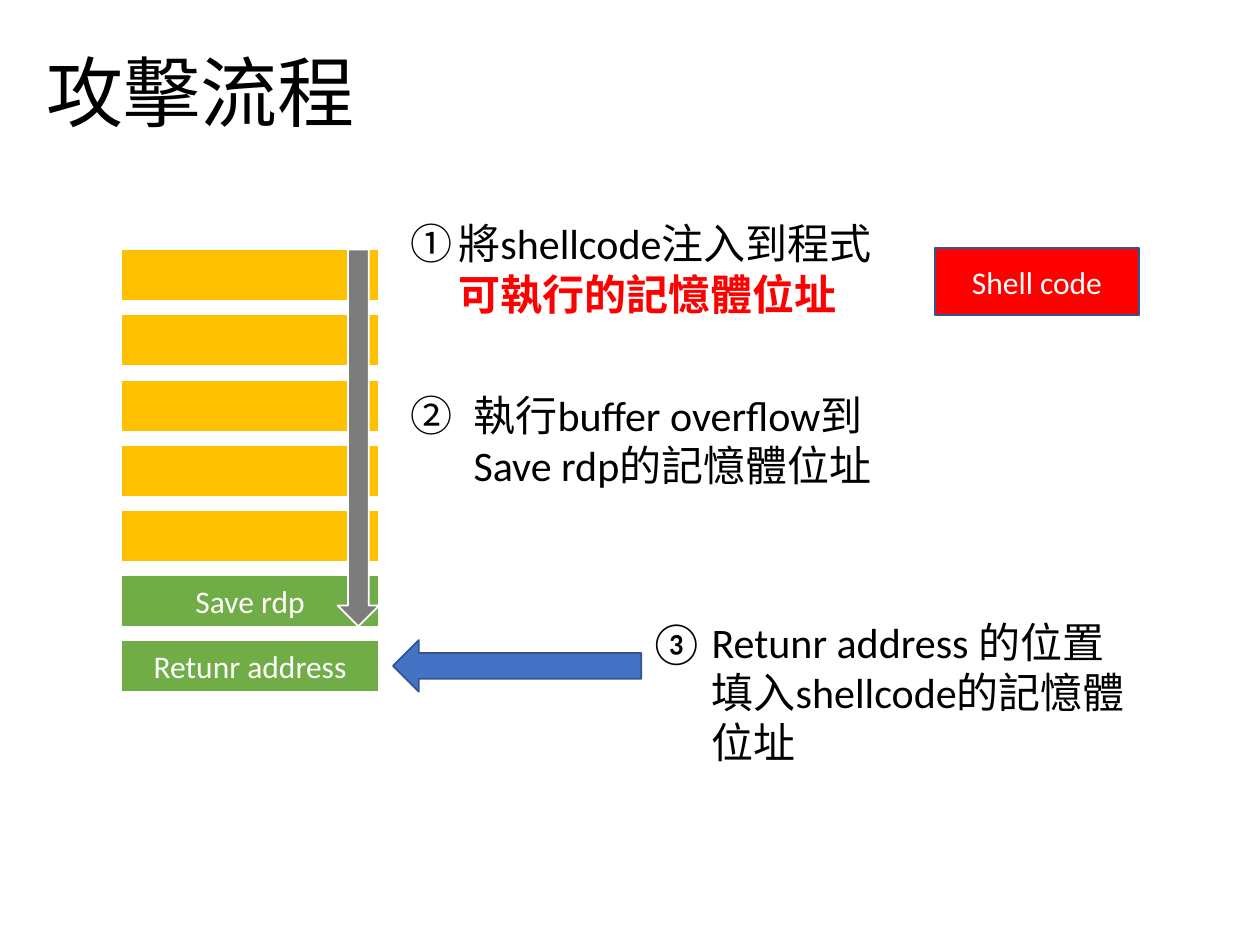
from lxml import etree
from pptx import Presentation
from pptx import util as u
from pptx.dml.color import RGBColor
from pptx.enum import shapes, text
from pptx.oxml.ns import qn

COLORS = {
    "black": "000000", "white": "FFFFFF", "red": "FF0000", "amber": "FFC000",
    "green": "70AD47", "gray": "7C7C7C", "blue": "4472C4", "navy": "325491",
}
FONT = "Calibri"
COLUMNS, ROWS = 100, 75
SHAPE = shapes.MSO_SHAPE


class Deck:
    """Places styled elements on a 100 x 75 grid of the current slide."""

    def __init__(self):
        self.prs = Presentation()
        self.prs.slide_width, self.prs.slide_height = u.Inches(10), u.Inches(7.5)
        self.slide = self.prs.slides.add_slide(self.prs.slide_layouts[6])

    def place(self, col, row, cols, rows):
        cell_w = self.prs.slide_width / COLUMNS
        cell_h = self.prs.slide_height / ROWS
        return [int(n) for n in (col * cell_w, row * cell_h, cols * cell_w, rows * cell_h)]

    def run(self, paragraph, words, size, color, bold=False):
        run = paragraph.add_run()
        run.text = words
        run.font.name, run.font.size, run.font.bold = FONT, u.Pt(size), bold
        run.font.color.rgb = RGBColor.from_string(COLORS[color])

    def text_frame(self, area):
        frame = self.slide.shapes.add_textbox(*self.place(*area)).text_frame
        frame.word_wrap = True
        return frame

    def title(self, area, words):
        frame = self.text_frame(area)
        frame.vertical_anchor = text.MSO_ANCHOR.MIDDLE
        frame.paragraphs[0].line_spacing = 0.9
        self.run(frame.paragraphs[0], words, 44, "black")

    def step(self, number, area, indent, *parts):
        """Circled-number step; parts are (words, color, bold)."""
        frame = self.text_frame(area)
        frame.auto_size = text.MSO_AUTO_SIZE.SHAPE_TO_FIT_TEXT
        paragraph = frame.paragraphs[0]
        props = paragraph._p.get_or_add_pPr()
        hang = u.Inches(indent)
        props.set("marL", str(hang))
        props.set("indent", str(-hang))
        etree.SubElement(props, qn("a:buFont"), typeface="+mj-lt")
        etree.SubElement(props, qn("a:buAutoNum"),
                         type="circleNumWdWhitePlain", startAt=str(number))
        for words, color, bold in parts:
            self.run(paragraph, words, 24, color, bold)

    def block(self, kind, area, fill, line, label=""):
        shape = self.slide.shapes.add_shape(kind, *self.place(*area))
        shape.shadow.inherit = False
        shape.fill.solid()
        shape.fill.fore_color.rgb = RGBColor.from_string(COLORS[fill])
        shape.line.color.rgb = RGBColor.from_string(COLORS[line])
        shape.line.width = u.Pt(1)
        if label:
            shape.text_frame.vertical_anchor = text.MSO_ANCHOR.MIDDLE
            paragraph = shape.text_frame.paragraphs[0]
            paragraph.alignment = text.PP_ALIGN.CENTER
            self.run(paragraph, label, 18, "white")


def main():
    deck = Deck()
    deck.title((2.7, 1.5, 86.2, 12.4), "攻擊流程")

    stack_left, stack_top, stack_width = 9.6, 19.8, 20.5
    cell_height, pitch = 4.1, 5.17
    memory = [("amber", "")] * 5 + [("green", "Save rdp"), ("green", "Retunr address")]
    for index, (fill, label) in enumerate(memory):
        area = (stack_left, stack_top + index * pitch, stack_width, cell_height)
        deck.block(SHAPE.RECTANGLE, area, fill, "white", label)

    deck.block(SHAPE.DOWN_ARROW, (26.8, stack_top, 3.3, 29.9), "gray", "white")
    deck.step(1, (31.6, 16.8, 38.8, 9.1), 0.38,
              ("將shellcode注入到程式", "black", False),
              ("可執行的記憶體位址", "red", True))
    deck.block(SHAPE.LEFT_ARROW, (31.2, 50.8, 19.7, cell_height), "blue", "navy")
    deck.step(2, (31.6, 30.4, 40.9, 9.1), 0.5,
              ("執行buffer overflow到Save rdp的記憶體位址", "black", False))
    deck.step(3, (50.5, 48.4, 40.9, 13.1), 0.5,
              ("Retunr address 的位置填入shellcode的記憶體位址", "black", False))
    deck.block(SHAPE.RECTANGLE, (74.2, 19.7, 16.2, 5.3), "red", "navy", "Shell code")

    deck.prs.save("out.pptx")


if __name__ == "__main__":
    main()
